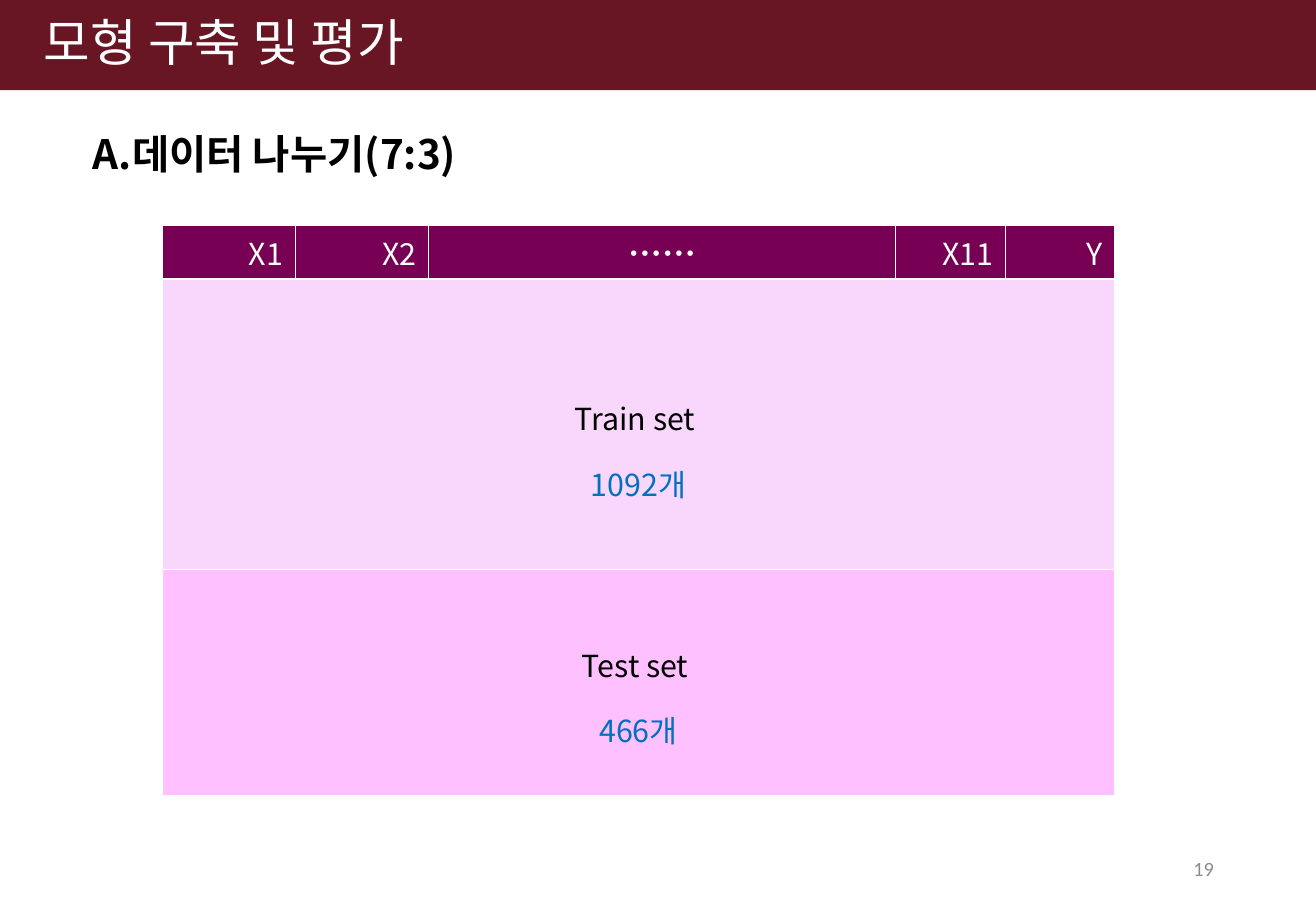
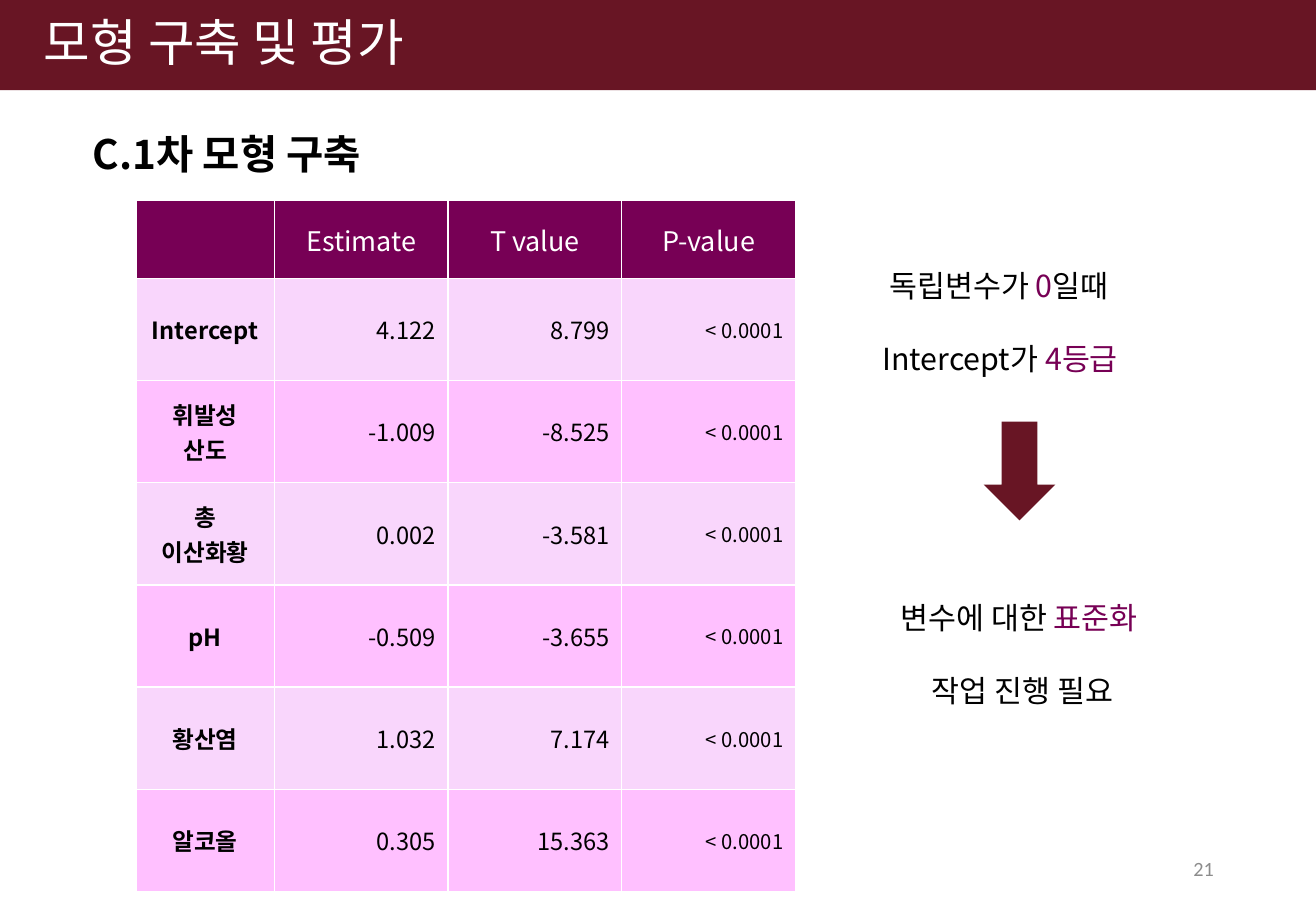
from dataclasses import dataclass

from lxml import etree
from pptx import Presentation
from pptx.dml.color import RGBColor
from pptx.enum.shapes import MSO_SHAPE
from pptx.enum.text import MSO_ANCHOR, PP_ALIGN
from pptx.oxml.ns import qn
from pptx.util import Pt

LEFT, CENTER, RIGHT = PP_ALIGN.LEFT, PP_ALIGN.CENTER, PP_ALIGN.RIGHT
TOP, MIDDLE = MSO_ANCHOR.TOP, MSO_ANCHOR.MIDDLE
RECTANGLE, DOWN_ARROW = MSO_SHAPE.RECTANGLE, MSO_SHAPE.DOWN_ARROW
PAGE_WIDTH, PAGE_HEIGHT = 780, 540
BLANK_LAYOUT = 6


@dataclass(frozen=True)
class Theme:
    band: str = "681524"
    header: str = "770055"
    light: str = "F9D6FC"
    pink: str = "FFC0FF"
    white: str = "FFFFFF"
    ink: str = "000000"
    blue: str = "0070C0"
    grey: str = "8C8C8C"
    title_font: str = "Calibri"
    body_font: str = "Noto Sans CJK KR"
    title_size: int = 30
    heading_size: int = 24
    dots_size: int = 20
    body_size: int = 18
    header_size: int = 16
    cell_size: int = 14
    small_size: int = 12


THEME = Theme()


def color(value):
    return RGBColor.from_string(value)


def write(frame, lines, size=THEME.body_size, ink=THEME.ink, font=THEME.body_font,
          bold=False, align=LEFT, spacing=None):
    """Fill a text frame; a line is a string or a list of (text, colour) spans."""
    for index, line in enumerate(lines):
        para = frame.add_paragraph() if index else frame.paragraphs[0]
        para.alignment = align
        para.line_spacing = spacing
        para.font.name = font
        para.font.size = Pt(size)
        para.font.bold = bold
        para.font.color.rgb = color(ink)
        for text, span_ink in [(line, ink)] if isinstance(line, str) else line:
            span = para.add_run()
            span.text = text
            if span_ink != ink:
                span.font.color.rgb = color(span_ink)


def add_text(page, box, lines, anchor=TOP, **style):
    frame = page.shapes.add_textbox(*map(Pt, box)).text_frame
    frame.word_wrap = True
    frame.vertical_anchor = anchor
    write(frame, lines, **style)


def add_solid(page, kind, box, fill):
    shape = page.shapes.add_shape(kind, *map(Pt, box))
    shape.shadow.inherit = False
    shape.fill.solid()
    shape.fill.fore_color.rgb = color(fill)
    shape.line.fill.background()


def add_frame(deck, heading, number):
    """Add a page with the title band, section heading and page number."""
    page = deck.slides.add_slide(deck.slide_layouts[BLANK_LAYOUT])
    add_solid(page, RECTANGLE, (0, 0, PAGE_WIDTH, 53.5), THEME.band)
    add_text(page, (19, 7, 720, 53), ["모형 구축 및 평가"], size=THEME.title_size,
             ink=THEME.white, font=THEME.title_font, spacing=0.9)
    add_text(page, (48, 73, 495, 37), [heading], size=THEME.heading_size, bold=True)
    add_text(page, (551, 500, 175.5, 29), [number], anchor=MIDDLE, size=THEME.small_size,
             ink=THEME.grey, font=THEME.title_font, align=RIGHT)
    return page


def add_grid(page, left, top, widths, heights):
    """Add an unstyled table with the given column widths and row heights."""
    box = (left, top, sum(widths), sum(heights))
    table = page.shapes.add_table(len(heights), len(widths), *map(Pt, box)).table
    table.first_row = table.horz_banding = False
    properties = table._tbl.tblPr
    for style_id in properties.findall(qn("a:tableStyleId")):
        properties.remove(style_id)
    for column, width in zip(table.columns, widths):
        column.width = Pt(width)
    for row, height in zip(table.rows, heights):
        row.height = Pt(height)
    return table


def paint(cell, fill):
    """Fill a cell and give it thin white borders."""
    cell.fill.solid()
    cell.fill.fore_color.rgb = color(fill)
    properties = cell._tc.get_or_add_tcPr()
    for index, side in enumerate(("lnL", "lnR", "lnT", "lnB")):
        line = etree.Element(qn("a:" + side), w=str(Pt(1)))
        solid = etree.SubElement(line, qn("a:solidFill"))
        etree.SubElement(solid, qn("a:srgbClr"), val=THEME.white)
        properties.insert(index, line)


def split_table(page, left, top):
    """Show the variables above the train and test blocks."""
    table = add_grid(page, left, top, (79, 79, 277, 65, 65), (32, 172, 134))
    for column, name in enumerate(("X1", "X2", "……", "X11", "Y")):
        cell = table.cell(0, column)
        paint(cell, THEME.header)
        cell.vertical_anchor = MIDDLE
        cell.margin_top = cell.margin_bottom = Pt(1)
        dots = name == "……"
        write(cell.text_frame, [name], ink=THEME.white, bold=dots,
              size=THEME.dots_size if dots else THEME.body_size,
              align=CENTER if dots else RIGHT)
    blocks = (("Train set ", "1092개", THEME.light, 56),
              ("Test set ", "466개", THEME.pink, 30))
    for row, (name, count, fill, margin) in enumerate(blocks, 1):
        for column in range(5):
            paint(table.cell(row, column), fill)
        cell = table.cell(row, 0)
        cell.merge(table.cell(row, 4))
        cell.margin_top = Pt(margin)
        write(cell.text_frame, [name, [(count, THEME.blue)]], align=CENTER, spacing=Pt(39))


def coefficient_table(page, left, top):
    header = ("", "Estimate", "T value", "P-value")
    coefficients = (
        ("Intercept", "4.122", "8.799"),
        ("휘발성\n산도", "-1.009", "-8.525"),
        ("총\n이산화황", "0.002", "-3.581"),
        ("pH", "-0.509", "-3.655"),
        ("황산염", "1.032", "7.174"),
        ("알코올", "0.305", "15.363"),
    )
    rows = [header] + [row + ("< 0.0001",) for row in coefficients]
    heights = [46] + [60.6] * len(coefficients)
    table = add_grid(page, left, top, (82, 103, 103, 103), heights)
    name_style = dict(size=THEME.cell_size, bold=True, align=CENTER)
    value_style = dict(size=THEME.cell_size, align=RIGHT)
    p_style = dict(size=THEME.small_size, align=RIGHT)
    header_style = dict(size=THEME.header_size, ink=THEME.white, align=CENTER)
    body_styles = (name_style, value_style, value_style, p_style)
    for row, texts in enumerate(rows):
        fill = (THEME.light if row % 2 else THEME.pink) if row else THEME.header
        for column, text in enumerate(texts):
            cell = table.cell(row, column)
            paint(cell, fill)
            cell.vertical_anchor = MIDDLE
            if text:
                style = body_styles[column] if row else header_style
                write(cell.text_frame, text.split("\n"), **style)


def conclusion(page, left, top):
    """Place the finding, an arrow and the step that follows from it."""
    accent = THEME.header
    finding = [
        [(" 독립변수가 ", THEME.ink), ("0", accent), ("일때", THEME.ink)],
        [("Intercept가 ", THEME.ink), ("4등급", accent)],
    ]
    next_step = [[(" 변수에 대한 ", THEME.ink), ("표준화 ", accent)], " 작업 진행 필요"]
    add_text(page, (left + 13, top, 202, 94), finding, spacing=Pt(43))
    add_solid(page, DOWN_ARROW, (left + 80, top + 116.5, 42.5, 58.5), THEME.band)
    add_text(page, (left, top + 197, 202, 94), next_step, align=CENTER, spacing=Pt(43))


def main():
    deck = Presentation()
    deck.slide_width, deck.slide_height = Pt(PAGE_WIDTH), Pt(PAGE_HEIGHT)

    split_page = add_frame(deck, "A.데이터 나누기(7:3)", "19")
    split_table(split_page, 96, 133.5)

    model_page = add_frame(deck, "C.1차 모형 구축", "21")
    coefficient_table(model_page, 80.6, 119)
    conclusion(model_page, 503, 133.5)

    deck.save("out.pptx")


if __name__ == "__main__":
    main()
